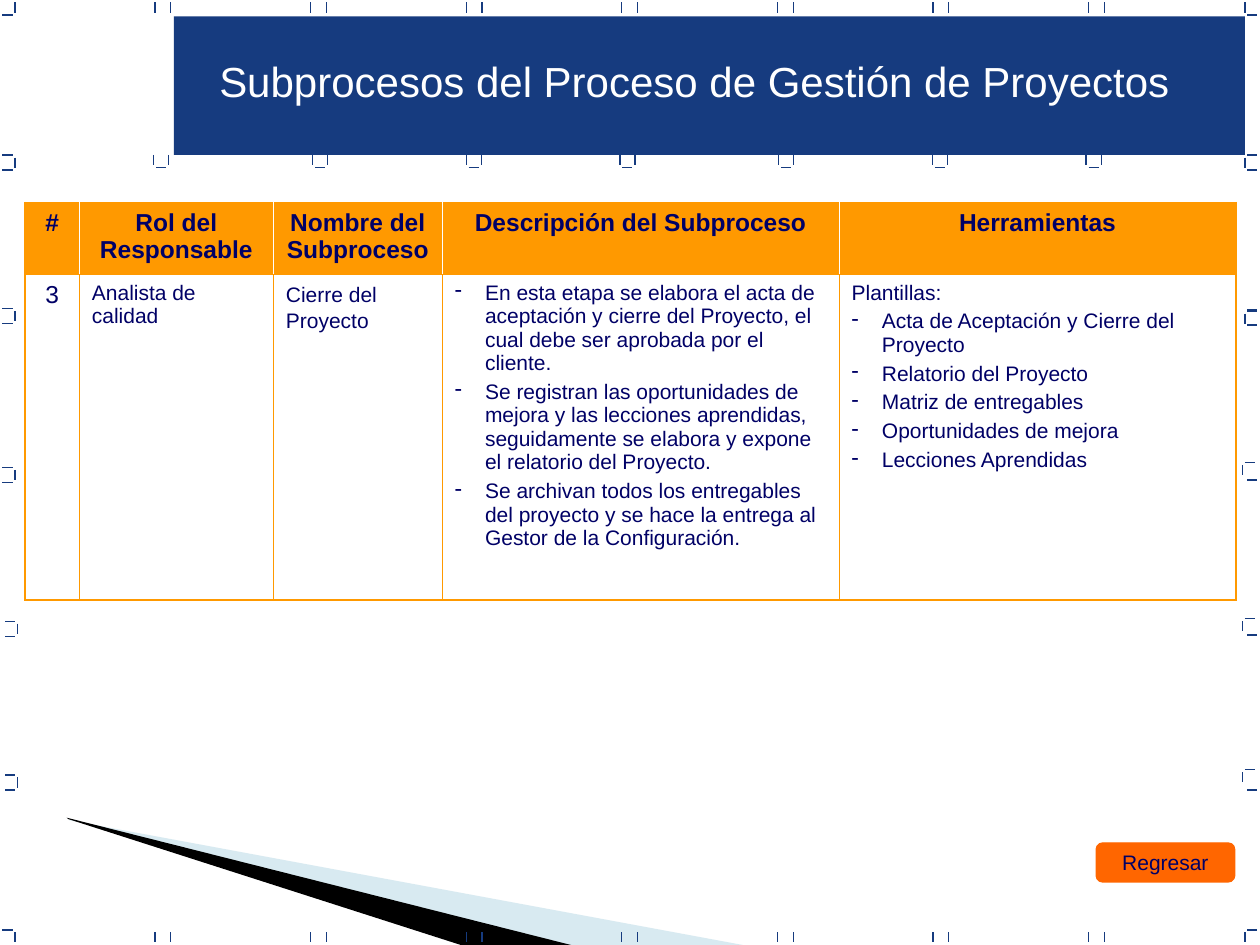
from dataclasses import dataclass
from lxml.etree import SubElement
from pptx import Presentation
from pptx.dml.color import RGBColor as RGB
from pptx.enum.shapes import MSO_CONNECTOR as CONN, MSO_SHAPE as SHAPE
from pptx.enum.text import MSO_ANCHOR as ANCHOR, MSO_AUTO_SIZE as AUTO, PP_ALIGN as ALIGN
from pptx.oxml.ns import qn
from pptx.util import Inches, Pt


@dataclass(frozen=True)
class Theme:
    """Colours, font and type sizes of the slide."""
    navy: str = "163B7F"
    ink: str = "000066"
    amber: str = "FF9900"
    orange: str = "FF6600"
    ice: str = "9FCBDC"
    black: str = "000000"
    white: str = "FFFFFF"
    font: str = "Arial"
    title: int = 24
    head: int = 14
    body: int = 12
    hair: float = 0.45
    thin: float = 0.75
    thick: float = 1.08


T = Theme()
TICK, GAP = 0.08, 0.02
HEADERS = ["#", "Rol del Responsable", "Nombre del Subproceso",
           "Descripción del Subproceso", "Herramientas"]
COLUMNS = [0.43, 1.54, 1.34, 3.15, 3.15]
ROWS = [0.57, 2.58]
BODY = [
    ["3"],
    ["Analista de calidad"],
    ["Cierre del Proyecto"],
    ["- En esta etapa se elabora el acta de aceptación y cierre del Proyecto, "
     "el cual debe ser aprobada por el cliente.",
     "- Se registran las oportunidades de mejora y las lecciones aprendidas, "
     "seguidamente se elabora y expone el relatorio del Proyecto.",
     "- Se archivan todos los entregables del proyecto y se hace la entrega al "
     "Gestor de la Configuración."],
    ["Plantillas:", "- Acta de Aceptación y Cierre del Proyecto",
     "- Relatorio del Proyecto", "- Matriz de entregables",
     "- Oportunidades de mejora", "- Lecciones Aprendidas"],
]


def style(p, size, color, bold=False):
    """Format the runs of a paragraph."""
    for r in p.runs:
        r.font.name, r.font.size, r.font.bold = T.font, Pt(size), bold
        r.font.color.rgb = RGB.from_string(color)


def paint(sp, color, line=None):
    """Give a shape a plain fill and an optional line."""
    sp.shadow.inherit = False
    sp.fill.solid()
    sp.fill.fore_color.rgb = RGB.from_string(color)
    if line:
        sp.line.color.rgb = RGB.from_string(line)
        sp.line.width = Pt(T.thin)
    else:
        sp.line.fill.background()


def tick(s, x, y, dx=0.0, dy=0.0):
    """Draw one short registration mark."""
    ln = s.shapes.add_connector(CONN.STRAIGHT, Inches(x), Inches(y), Inches(x + dx), Inches(y + dy))
    ln.line.color.rgb = RGB.from_string(T.navy)
    ln.line.width = Pt(T.thin)
    SubElement(ln.element.spPr, qn("a:effectLst"))


def wedges(s, x, y):
    """Draw the two slanted wedges from their shared tip."""
    outlines = [
        (T.ice, [(0.02, 0.02), (5.42, 1.02), (4.03, 1.02), (0.02, 0.01)]),
        (T.black, [(0, 0), (4.04, 1.02), (3.19, 1.03), (0.01, 0.01)]),
    ]
    for color, points in outlines:
        points = [(Inches(x + px), Inches(y + py)) for px, py in points]
        fb = s.shapes.build_freeform(*points[0], scale=1.0)
        fb.add_line_segments(points[1:], close=True)
        sp = fb.convert_to_shape()
        paint(sp, color)
        if color == T.ice:
            clr = sp.element.spPr.find(qn("a:solidFill"))[0]
            SubElement(clr, qn("a:alpha")).set("val", "40000")


def edge_marks(s, x, y, w, h):
    """Draw the marks along the four edges of the page."""
    right, bottom = x + w, y + h
    for i in range(7):
        for px in (1.23 + 1.235 * i, 1.355 + 1.235 * i):
            tick(s, x + px, y + 0.02, dy=TICK)
            tick(s, x + px, bottom - 0.1, dy=TICK)
    for vertical, bar in ((x + 0.12, x + 0.02), (right - 0.12, right - 0.1)):
        for top, level in ((y + 0.02, y + 0.12), (bottom - 0.1, bottom - 0.12)):
            tick(s, vertical, top, dy=TICK)
            tick(s, bar, level, dx=TICK)
    for px, py in ((0.12, 1.25), (0.12, 2.47), (0.12, 3.73), (0.14, 4.95), (0.14, 6.17)):
        tick(s, x + px, y + py, dy=TICK)
        for level in (py - GAP, py + TICK + GAP):
            tick(s, x + px - 0.1, y + level, dx=TICK)
    for i, (inset, py) in enumerate(
            ((0.12, 1.25), (0.12, 2.49), (0.14, 3.69), (0.14, 4.93), (0.14, 6.13))):
        tick(s, right - inset, y + py, dy=TICK)
        tick(s, right - inset + GAP, y + py - GAP, dx=TICK)
        tick(s, right - 0.1, y + 1.35 + 1.23 * i, dx=TICK)
    tick(s, right - 0.1, y + 2.46, dx=TICK)


def banner(s, x, y, w, h):
    """Draw the title band, the brackets under it and the title."""
    sp = s.shapes.add_shape(SHAPE.RECTANGLE, Inches(x), Inches(y), Inches(w), Inches(h))
    paint(sp, T.navy)
    for dx in (-0.16, 1.1, 2.32, 3.54, 4.8, 6.02, 7.24):
        tick(s, x + dx, y + h, dy=TICK)
        tick(s, x + dx + 0.12, y + h, dy=TICK)
        tick(s, x + dx + GAP, y + h + 0.1, dx=TICK)
    title = s.shapes.title
    title.left, title.top = Inches(x + 0.26), Inches(y + 0.26)
    title.width, title.height = Inches(8.32), Inches(0.5)
    tf = title.text_frame
    tf.text = "Subprocesos del Proceso de Gestión de Proyectos"
    tf.word_wrap, tf.auto_size, tf.vertical_anchor = True, AUTO.NONE, ANCHOR.TOP
    tf.paragraphs[0].alignment = ALIGN.LEFT
    style(tf.paragraphs[0], T.title, T.white)
    title.element.getparent().append(title.element)


def borders(cell, sides):
    """Set the four cell borders from (color, width) pairs."""
    tc_pr = cell._tc.get_or_add_tcPr()
    for side, (color, width) in zip("LRTB", sides):
        ln = SubElement(tc_pr, qn("a:ln" + side), w=str(int(Pt(width))))
        SubElement(SubElement(ln, qn("a:solidFill")), qn("a:srgbClr"), val=color)


def fill_cell(cell, lines, size, bold, centred):
    """Write the paragraphs of a cell, with dashes as bullets."""
    tf = cell.text_frame
    for i, line in enumerate(lines):
        p = tf.add_paragraph() if i else tf.paragraphs[0]
        p.text = line.removeprefix("- ")
        p.alignment = ALIGN.CENTER if centred else ALIGN.LEFT
        if i:
            p.space_before = Pt(3)
        if line.startswith("- "):
            p_pr = p._p.get_or_add_pPr()
            p_pr.set("marL", str(Inches(0.24)))
            p_pr.set("indent", str(-Inches(0.24)))
            SubElement(p_pr, qn("a:buChar"), char="-")
        style(p, size, T.ink, bold)


def process_table(s, x, y):
    """Build the subprocess table."""
    tbl = s.shapes.add_table(2, len(COLUMNS), Inches(x), Inches(y),
                             Inches(sum(COLUMNS)), Inches(sum(ROWS))).table
    tbl.horz_banding = False
    for row, height in zip(tbl.rows, ROWS):
        row.height = Inches(height)
    outer, inner = (T.amber, T.thick), (T.amber, T.thin)
    last = len(COLUMNS) - 1
    for c, width in enumerate(COLUMNS):
        tbl.columns[c].width = Inches(width)
        head, body = tbl.cell(0, c), tbl.cell(1, c)
        for cell, side, top, bottom in ((head, (T.white, T.hair), outer, inner),
                                        (body, inner, inner, outer)):
            borders(cell, (outer if c == 0 else side, outer if c == last else side, top, bottom))
        head.fill.solid()
        head.fill.fore_color.rgb = RGB.from_string(T.amber)
        body.fill.background()
        fill_cell(head, [HEADERS[c]], T.head, True, True)
        fill_cell(body, BODY[c], T.body if c else T.head, False, c == 0)
    tbl.cell(1, 2).text_frame.paragraphs[0].line_spacing = 1.1


def back_button(s, x, y, w, h):
    """Draw the return button."""
    sp = s.shapes.add_shape(SHAPE.FLOWCHART_ALTERNATE_PROCESS,
                            Inches(x), Inches(y), Inches(w), Inches(h))
    paint(sp, T.orange, T.orange)
    tf = sp.text_frame
    tf.text = "Regresar"
    tf.word_wrap, tf.vertical_anchor = False, ANCHOR.MIDDLE
    tf.paragraphs[0].alignment = ALIGN.CENTER
    style(tf.paragraphs[0], T.body, T.ink)


def main():
    """Build and save the slide."""
    prs = Presentation()
    prs.slide_width, prs.slide_height = Inches(10), Inches(7.5)
    s = prs.slides.add_slide(prs.slide_layouts[5])
    wedges(s, 0.53, 6.49)
    edge_marks(s, 0, 0, 10, 7.5)
    banner(s, 1.38, 0.13, 8.5, 1.1)
    process_table(s, 0.2, 1.61)
    back_button(s, 8.7, 6.69, 1.1, 0.31)
    prs.save("out.pptx")


if __name__ == "__main__":
    main()
